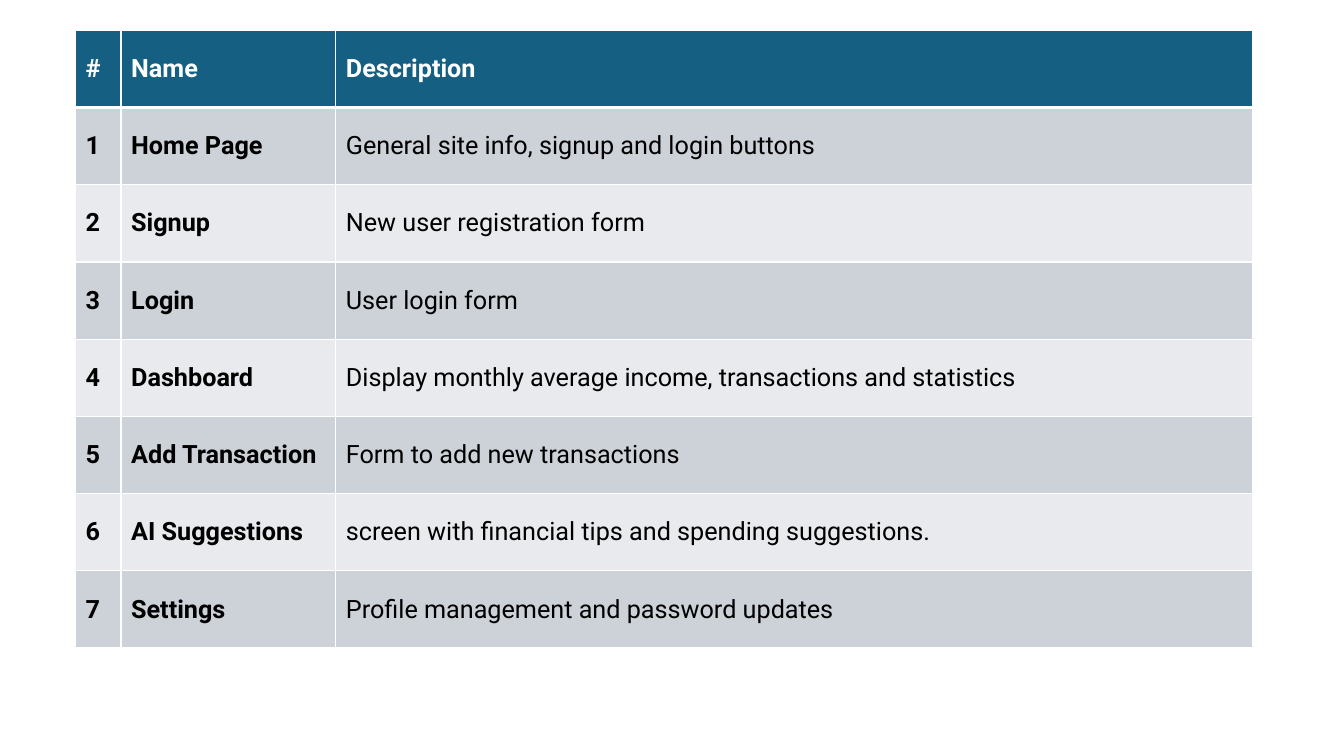
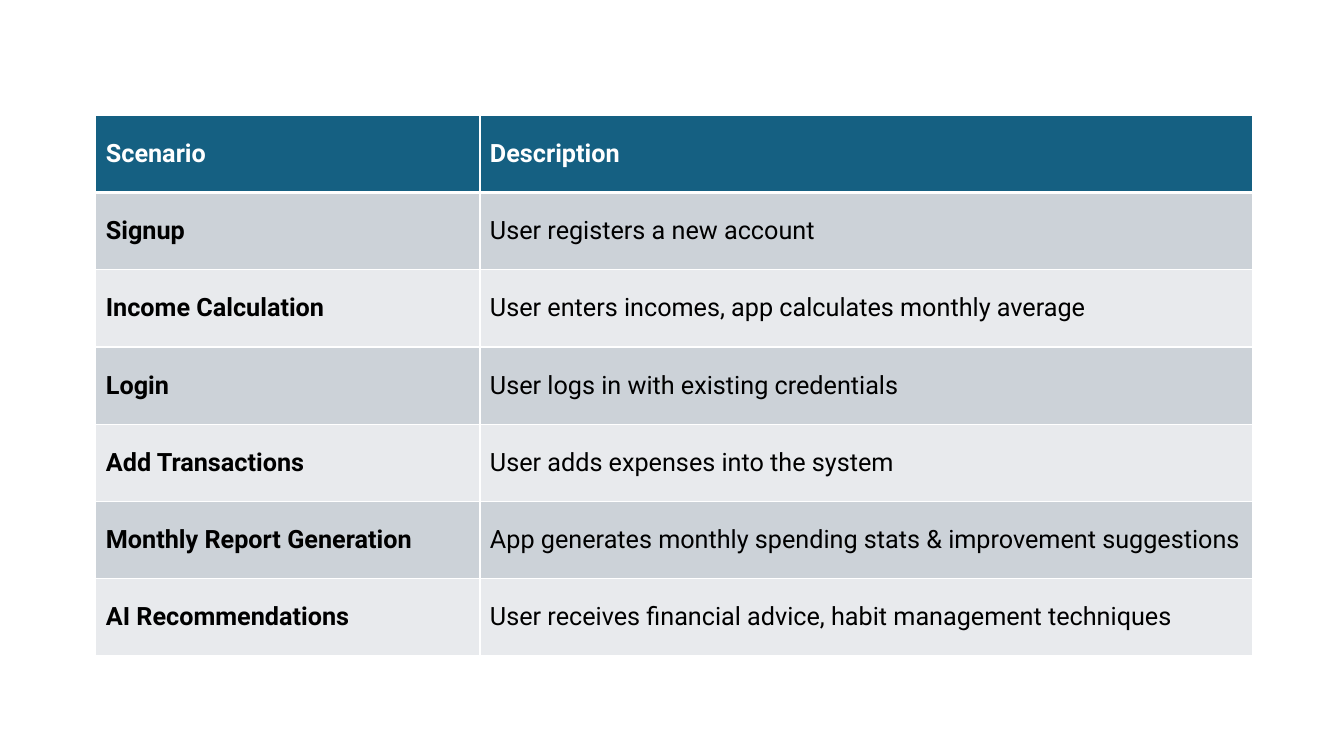
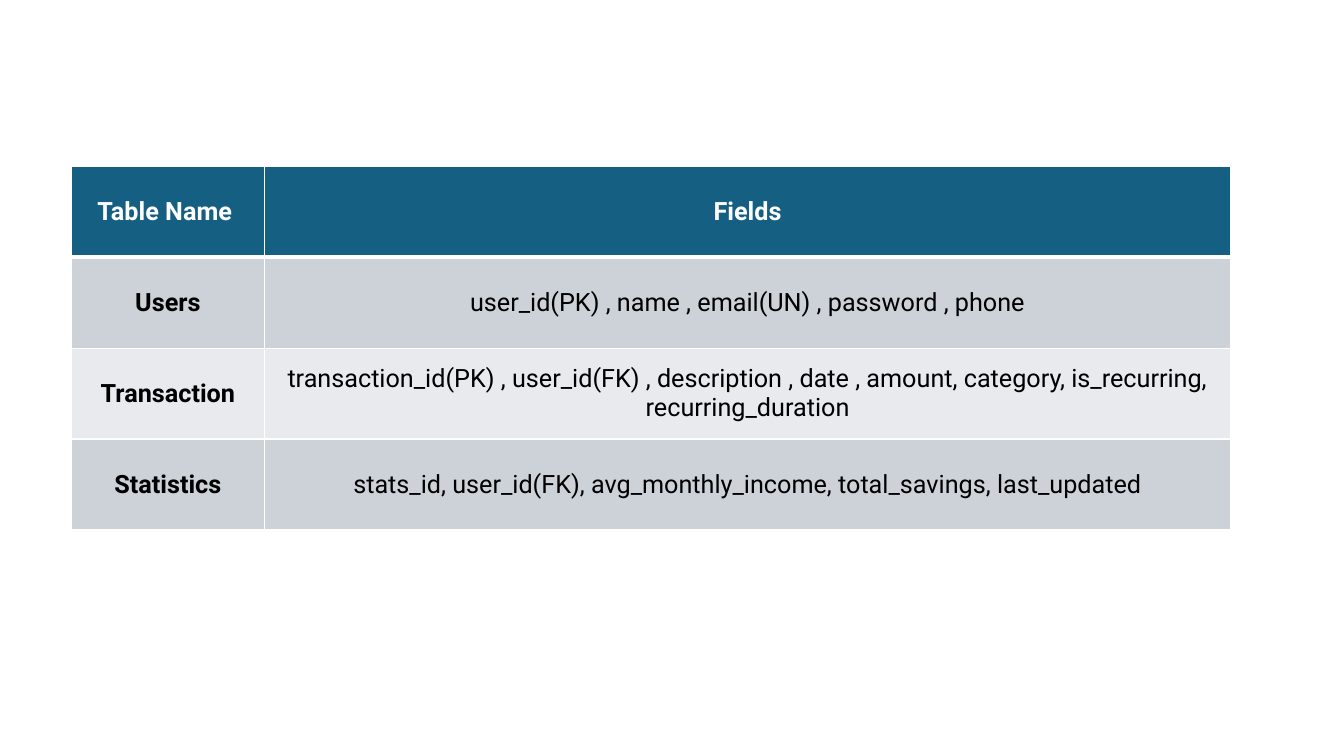
from lxml import etree
from pptx import Presentation
from pptx import util as u
from pptx.dml.color import RGBColor
from pptx.enum import text
from pptx.oxml import ns

SLIDE_WIDTH, SLIDE_HEIGHT = u.Inches(13.33), u.Inches(7.5)
FONT, FONT_SIZE = "Roboto", u.Pt(18)
HEADER_FILL, HEADER_TEXT = "156082", "FFFFFF"
BAND_FILLS, BODY_TEXT = ("CCD2D8", "E8EAED"), "000000"
RULE, RULE_WIDTH, HEADER_RULE_WIDTH = "FFFFFF", 1, 3

SCREENS = [
    ("Home Page", "General site info, signup and login buttons"),
    ("Signup", "New user registration form"),
    ("Login", "User login form"),
    ("Dashboard", "Display monthly average income, transactions and statistics"),
    ("Add Transaction", "Form to add new transactions"),
    ("AI Suggestions", "screen with financial tips and spending suggestions."),
    ("Settings", "Profile management and password updates"),
]
SCENARIOS = [
    ("Scenario", "Description"),
    ("Signup", "User registers a new account"),
    ("Income Calculation", "User enters incomes, app calculates monthly average"),
    ("Login", "User logs in with existing credentials"),
    ("Add Transactions", "User adds expenses into the system"),
    ("Monthly Report Generation",
     "App generates monthly spending stats & improvement suggestions"),
    ("AI Recommendations",
     "User receives financial advice, habit management techniques"),
]
DATABASE = [
    ("Table Name ", "Fields"),
    ("Users", "user_id(PK) , name , email(UN) , password , phone"),
    ("Transaction",
     "transaction_id(PK) , user_id(FK) , description , date , amount, "
     "category, is_recurring, recurring_duration"),
    ("Statistics",
     "stats_id, user_id(FK), avg_monthly_income, total_savings, last_updated"),
]


def color(value):
    return RGBColor.from_string(value)


def across(percent):
    """Length as a percentage of the slide's width."""
    return u.Emu(round(SLIDE_WIDTH * percent / 100))


def down(percent):
    """Length as a percentage of the slide's height."""
    return u.Emu(round(SLIDE_HEIGHT * percent / 100))


def add_borders(cell, top, bottom):
    """Rule all four sides; top and bottom are widths in points."""
    properties = cell._tc.get_or_add_tcPr()
    widths = {"a:lnL": RULE_WIDTH, "a:lnR": RULE_WIDTH, "a:lnT": top, "a:lnB": bottom}
    for side, width in widths.items():
        line = etree.SubElement(properties, ns.qn(side), w=str(u.Pt(width)))
        fill = etree.SubElement(line, ns.qn("a:solidFill"))
        etree.SubElement(fill, ns.qn("a:srgbClr"), val=RULE)


def fill_cell(cell, words, fill, ink, bold, align):
    cell.fill.solid()
    cell.fill.fore_color.rgb = color(fill)
    cell.vertical_anchor = text.MSO_ANCHOR.MIDDLE
    cell.text = words
    para = cell.text_frame.paragraphs[0]
    para.alignment = align
    font = para.font
    font.name, font.size, font.bold = FONT, FONT_SIZE, bold
    font.color.rgb = color(ink)


def add_table_page(deck, rows, left, top, widths, row_height,
                   align=text.PP_ALIGN.LEFT):
    """Add a page with one banded table; lengths are percentages of the slide."""
    page = deck.slides.add_slide(deck.slide_layouts[6])
    table = page.shapes.add_table(
        len(rows), len(widths), across(left), down(top),
        across(sum(widths)), down(row_height * len(rows))).table
    for column, width in zip(table.columns, widths):
        column.width = across(width)
    last_column = len(widths) - 1
    for r, row in enumerate(rows):
        header = r == 0
        fill = HEADER_FILL if header else BAND_FILLS[(r - 1) % 2]
        ink = HEADER_TEXT if header else BODY_TEXT
        for c, words in enumerate(row):
            cell = table.cell(r, c)
            add_borders(cell,
                        top=HEADER_RULE_WIDTH if r == 1 else RULE_WIDTH,
                        bottom=HEADER_RULE_WIDTH if header else RULE_WIDTH)
            fill_cell(cell, words, fill, ink, header or c < last_column, align)


def main():
    deck = Presentation()
    deck.slide_width, deck.slide_height = SLIDE_WIDTH, SLIDE_HEIGHT
    screens = [("#", "Name", "Description")]
    screens += [(str(number), *screen) for number, screen in enumerate(SCREENS, 1)]
    add_table_page(deck, screens, 5.63, 4, (3.38, 15.98, 68.2), 10.22)
    add_table_page(deck, SCENARIOS, 7.13, 15.25, (28.58, 57.47), 10.22)
    add_table_page(deck, DATABASE, 5.33, 22, (14.33, 71.94), 12.03,
                   align=text.PP_ALIGN.CENTER)
    deck.save("out.pptx")


if __name__ == "__main__":
    main()
